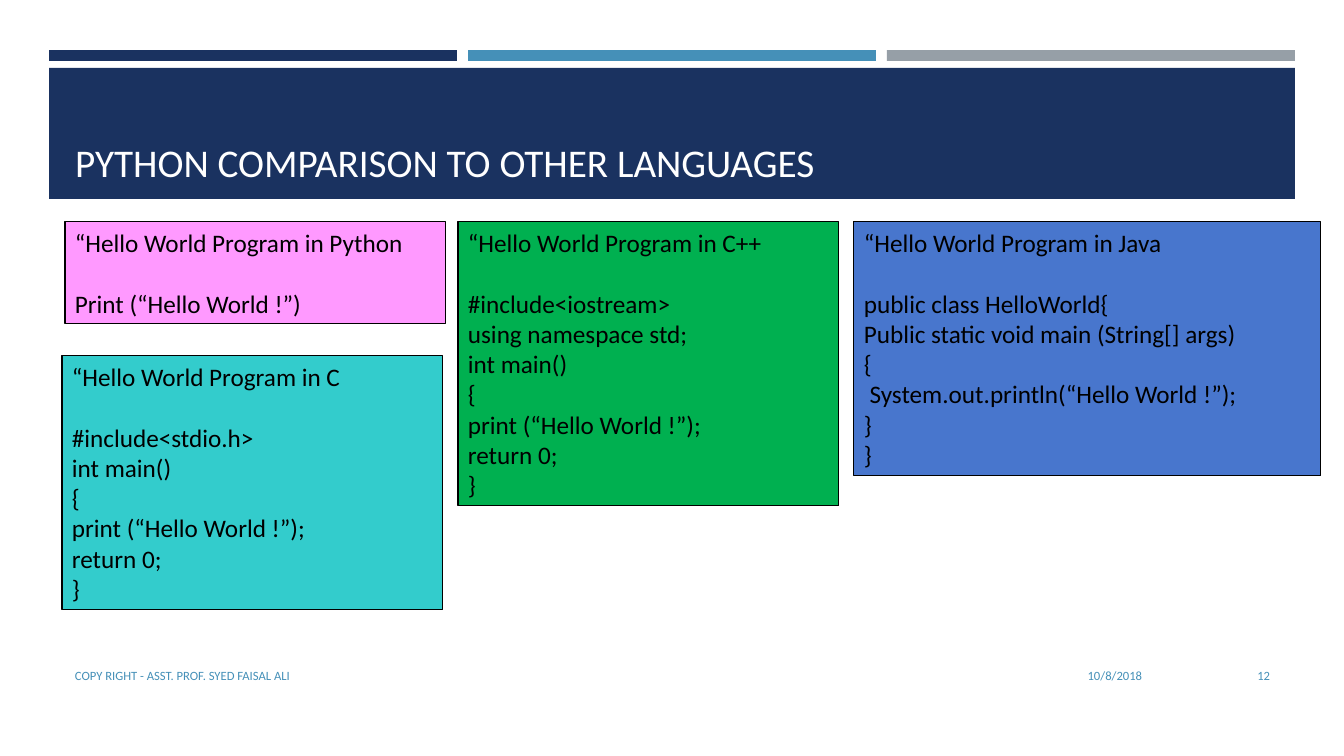
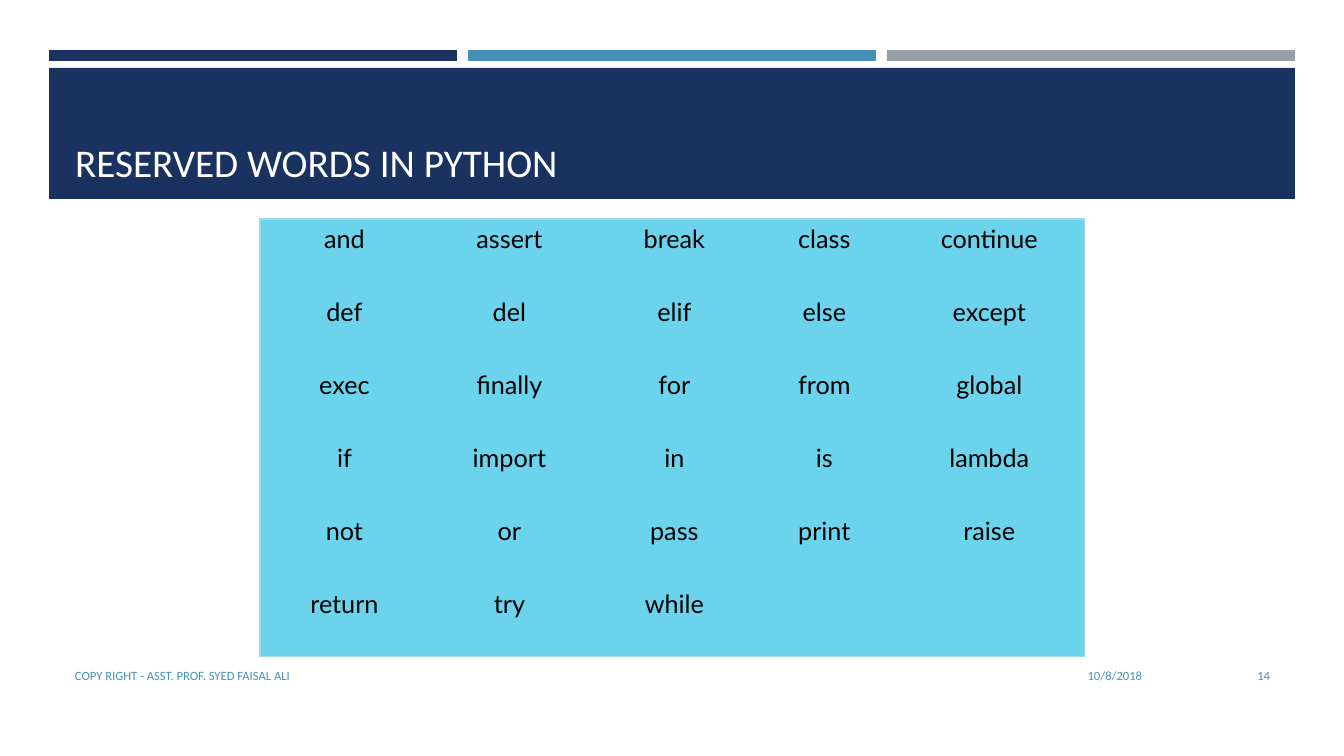
import dataclasses

import lxml.etree
import pptx
import pptx.dml.color
import pptx.enum.shapes
import pptx.enum.text
import pptx.oxml.ns
import pptx.util

ALIGN = pptx.enum.text.PP_ALIGN
ANCHOR = pptx.enum.text.MSO_ANCHOR


@dataclasses.dataclass(frozen=True)
class Theme:
    navy: str = "1A3260"
    blue: str = "4590B8"
    gray: str = "969FA7"
    white: str = "FFFFFF"
    black: str = "000000"
    table_fill: str = "6CD3ED"
    table_edge: str = "9CD9ED"
    font: str = "Calibri"
    table_font: str = "Lato"
    title_size: int = 28
    body_size: int = 18
    footer_size: int = 9


THEME = Theme()
EMU_PER_PX = 914400 / 100.8
SLIDE_SIZE = (1344, 756)

BAND_COLORS = [THEME.navy, THEME.blue, THEME.gray]
BAND_LEFT, BAND_TOP, BAND_WIDTH, BAND_HEIGHT, BAND_STEP = 49, 50, 408, 11, 419
TITLE_BAND = (49, 68, 1246, 131)
TITLE_BOX = (65, 78, 1216, 112)

COPYRIGHT = "COPY RIGHT - ASST. PROF. SYED FAISAL ALI"
DATE = "10/8/2018"
FOOTER_TOP, FOOTER_HEIGHT = 656, 40

COMPARISON = {"title": "PYTHON COMPARISON TO OTHER LANGUAGES", "number": "12"}
PROGRAMS = [
    ("Python", "FF99FF", (65, 222, 381), ["Print (“Hello World !”)"]),
    ("C", "33CCCC", (62, 356, 381), [
        "#include<stdio.h>", "int main()", "{",
        "print (“Hello World !”);", "return 0;", "}"]),
    ("C++", "00B050", (458, 222, 381), [
        "#include<iostream>", "using namespace std;", "int main()", "{",
        "print (“Hello World !”);", "return 0;", "}"]),
    ("Java", "4876CD", (854, 222, 467), [
        "public class HelloWorld{", "Public static void main (String[] args)",
        "{", " System.out.println(“Hello World !”);", "}", "}"]),
]
CODE_LINE, CODE_PADDING = 30.5, 10
HEADING_GAP = 22

RESERVED = {"title": "RESERVED WORDS IN PYTHON", "number": "14"}
WORDS = [
    ["and", "assert", "break", "class", "continue"],
    ["def", "del", "elif", "else", "except"],
    ["exec", "finally", "for", "from", "global"],
    ["if", "import", "in", "is", "lambda"],
    ["not", "or", "pass", "print", "raise"],
    ["return", "try", "while", "", ""],
]
TABLE_LEFT, TABLE_TOP, ROW_HEIGHT = 260, 219, 73
COLUMN_WIDTHS = [165, 165, 165, 135, 195]
PLAIN_TABLE_STYLE = "{2D5ABB26-0587-4C30-8999-92F81FD0307C}"


def px(value):
    return pptx.util.Emu(round(value * EMU_PER_PX))


def rgb(color):
    return pptx.dml.color.RGBColor.from_string(color)


def place(shape, box):
    shape.left, shape.top, shape.width, shape.height = map(px, box)


def write(tf, text, size=THEME.body_size, color=THEME.black, font=THEME.font,
          align=ALIGN.LEFT, anchor=ANCHOR.TOP, heading_gap=0):
    tf.word_wrap = True
    tf.vertical_anchor = anchor
    for i, line in enumerate(text.split("\n")):
        p = tf.add_paragraph() if i else tf.paragraphs[0]
        p.alignment = align
        if heading_gap and i == 0:
            p.space_after = pptx.util.Pt(heading_gap)
        r = p.add_run()
        r.text = line
        r.font.size = pptx.util.Pt(size)
        r.font.name = font
        r.font.color.rgb = rgb(color)


def add_box(s, box, fill, line=None):
    sp = s.shapes.add_shape(pptx.enum.shapes.MSO_SHAPE.RECTANGLE, *map(px, box))
    sp.shadow.inherit = False
    sp.fill.solid()
    sp.fill.fore_color.rgb = rgb(fill)
    if line:
        sp.line.color.rgb = rgb(line)
        sp.line.width = pptx.util.Pt(0.75)
    else:
        sp.line.fill.background()
    return sp


def add_bands(s):
    bands = [add_box(s, (BAND_LEFT + i * BAND_STEP, BAND_TOP, BAND_WIDTH, BAND_HEIGHT), color)
             for i, color in enumerate(BAND_COLORS)]
    bands.append(add_box(s, TITLE_BAND, THEME.navy))
    for band in bands:
        s.slide_layout.shapes.element.append(band.element)


def add_slide(prs, layout, title, number):
    s = prs.slides.add_slide(layout)
    place(s.shapes.title, TITLE_BOX)
    write(s.shapes.title.text_frame, title, size=THEME.title_size,
          color=THEME.white, anchor=ANCHOR.BOTTOM)
    footers = [(COPYRIGHT, 65, 762, ALIGN.LEFT), (DATE, 839, 313, ALIGN.RIGHT),
               (number, 1164, 116, ALIGN.RIGHT)]
    for text, left, width, align in footers:
        sp = s.shapes.add_textbox(*map(px, (left, FOOTER_TOP, width, FOOTER_HEIGHT)))
        write(sp.text_frame, text, size=THEME.footer_size, color=THEME.blue,
              align=align, anchor=ANCHOR.MIDDLE)
    return s


def add_program(s, language, fill, position, code):
    height = round(CODE_PADDING + CODE_LINE * (len(code) + 2))
    sp = add_box(s, (*position, height), fill, line=THEME.black)
    lines = [f"“Hello World Program in {language}", *code]
    write(sp.text_frame, "\n".join(lines), heading_gap=HEADING_GAP)


def add_borders(cell, sides):
    tcPr = cell._tc.get_or_add_tcPr()
    for i, side in enumerate(sides):
        ln = lxml.etree.Element(pptx.oxml.ns.qn(f"a:ln{side}"), w=str(pptx.util.Pt(1)))
        fill = lxml.etree.SubElement(ln, pptx.oxml.ns.qn("a:solidFill"))
        lxml.etree.SubElement(fill, pptx.oxml.ns.qn("a:srgbClr"), val=THEME.table_edge)
        tcPr.insert(i, ln)


def add_word_table(s):
    rows, cols = len(WORDS), len(COLUMN_WIDTHS)
    box = (TABLE_LEFT, TABLE_TOP, sum(COLUMN_WIDTHS), ROW_HEIGHT * rows)
    table = s.shapes.add_table(rows, cols, *map(px, box)).table
    table.first_row = table.horz_banding = False
    table._tbl.tblPr[0].text = PLAIN_TABLE_STYLE
    for column, width in zip(table.columns, COLUMN_WIDTHS):
        column.width = px(width)
    for i, words in enumerate(WORDS):
        table.rows[i].height = px(ROW_HEIGHT)
        for j, word in enumerate(words):
            cell = table.cell(i, j)
            cell.margin_left = px(14)
            cell.fill.solid()
            cell.fill.fore_color.rgb = rgb(THEME.table_fill)
            edges = {"L": j == 0, "R": j == cols - 1, "T": i == 0, "B": i == rows - 1}
            add_borders(cell, [side for side, outer in edges.items() if outer])
            if word:
                write(cell.text_frame, word, font=THEME.table_font, align=ALIGN.CENTER)


def main():
    prs = pptx.Presentation()
    prs.slide_width, prs.slide_height = map(px, SLIDE_SIZE)
    layout = prs.slide_layouts.get_by_name("Title Only")

    s = add_slide(prs, layout, **COMPARISON)
    add_bands(s)
    for program in PROGRAMS:
        add_program(s, *program)

    s = add_slide(prs, layout, **RESERVED)
    add_word_table(s)

    prs.save("out.pptx")


if __name__ == "__main__":
    main()
